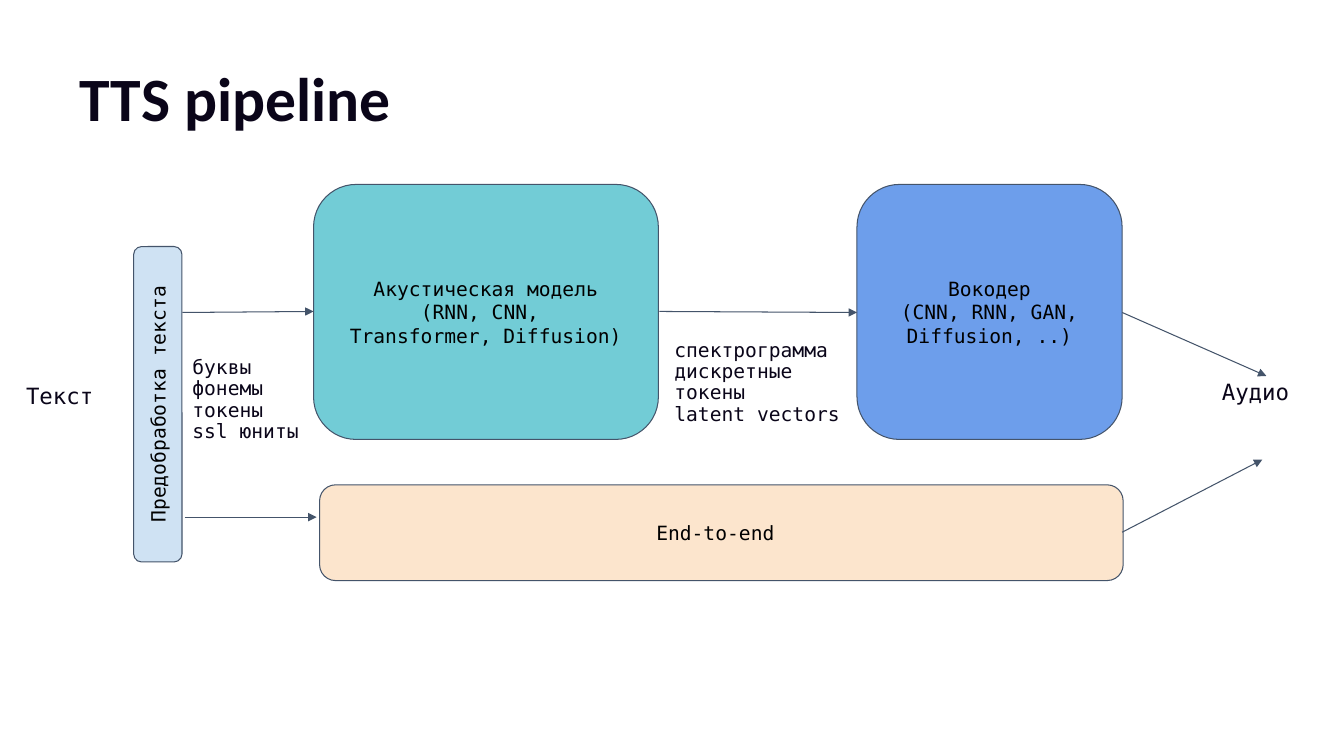
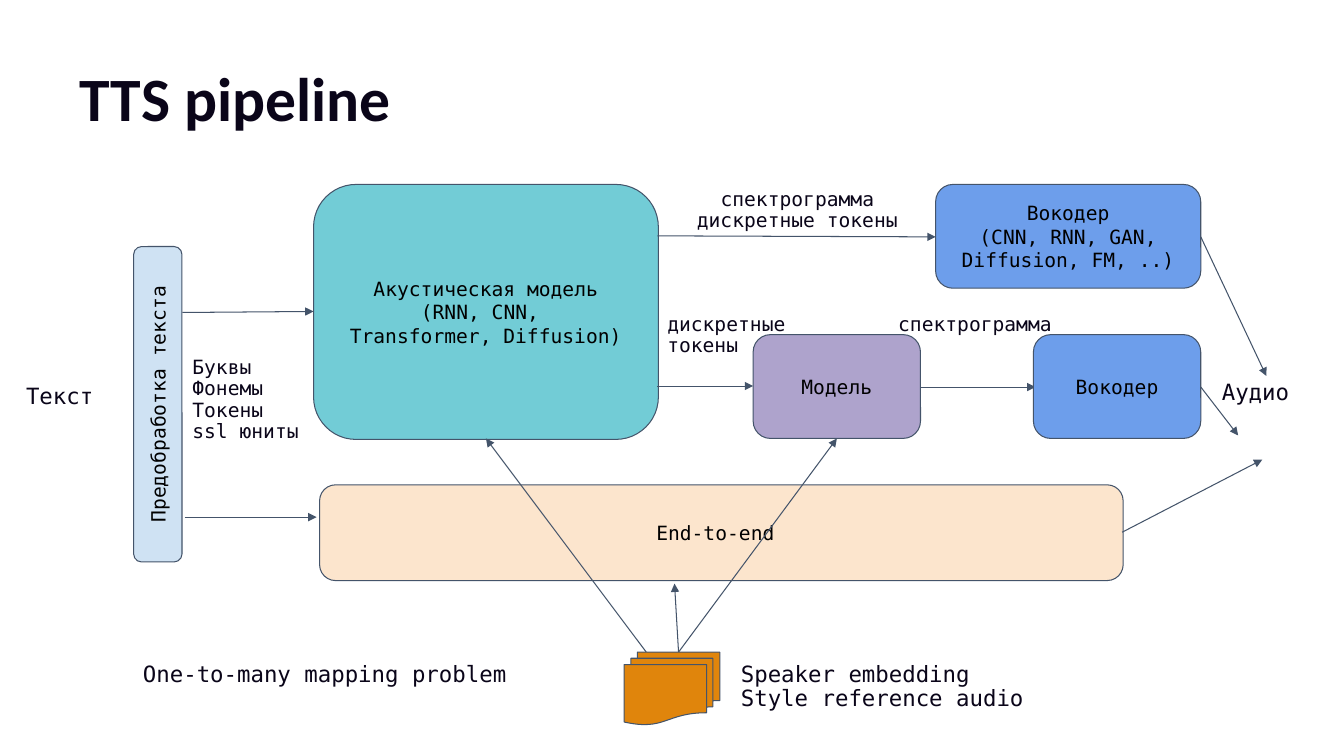
from lxml import etree
from pptx import Presentation
from pptx.dml.color import RGBColor as RGB
from pptx.enum.shapes import MSO_CONNECTOR as CONN, MSO_SHAPE as FORM
from pptx.enum.text import MSO_ANCHOR as ANCHOR, PP_ALIGN as ALIGN
from pptx.oxml.ns import qn
from pptx.util import Inches, Pt

HUES = {
    "ink": "0A0519", "black": "000000", "line": "44546A",
    "prep": "CFE2F3", "teal": "72CCD6", "blue": "6D9EEB",
    "sand": "FCE5CD", "lilac": "AEA3CC", "docs": "E0850C",
}
MONO = "DejaVu Sans Mono"


def label(slide, at, lines, size=14, align=ALIGN.LEFT):
    """Add plain text, one paragraph a line."""
    frame = slide.shapes.add_textbox(*map(Inches, at)).text_frame
    frame.word_wrap = True
    frame.text = lines
    for par in frame.paragraphs:
        par.alignment = align
        par.line_spacing = 0.9
        par.font.name = MONO
        par.font.size = Pt(size)
        par.font.color.rgb = RGB.from_string(HUES["ink"])


def block(slide, at, hue, lines="", form=FORM.ROUNDED_RECTANGLE, turn=0):
    """Add a filled, outlined shape with centred text."""
    shape = slide.shapes.add_shape(form, *map(Inches, at))
    shape.shadow.inherit = False
    shape.rotation = turn
    shape.fill.solid()
    shape.fill.fore_color.rgb = RGB.from_string(HUES[hue])
    shape.line.color.rgb = RGB.from_string(HUES["line"])
    shape.line.width = Pt(0.75)
    if not lines:
        return
    frame = shape.text_frame
    frame.word_wrap = True
    frame.vertical_anchor = ANCHOR.MIDDLE
    frame.margin_left = frame.margin_right = Inches(0.1)
    frame.margin_top = frame.margin_bottom = Inches(0.1)
    frame.text = lines
    for par in frame.paragraphs:
        par.alignment = ALIGN.CENTER
        par.font.name = MONO
        par.font.size = Pt(14)
        par.font.color.rgb = RGB.from_string(HUES["black"])


deck = Presentation()
deck.slide_width, deck.slide_height = Inches(13.33), Inches(7.5)

# Arrows of each slide: start x, start y, end x, end y
shared = [
    (1.81, 3.1, 3.11, 3.09),
    (1.83, 5.13, 3.14, 5.13),
    (11.13, 5.28, 12.52, 4.56),
]
simple = [
    (6.54, 3.09, 8.5, 3.1),
    (11.13, 3.1, 12.56, 3.73),
]
full = [
    (6.52, 2.34, 9.28, 2.35),
    (11.91, 2.35, 12.56, 3.73),
    (6.52, 3.83, 7.47, 3.83),
    (9.13, 3.84, 10.27, 3.84),
    (11.91, 3.84, 12.28, 4.32),
    (6.41, 6.47, 4.82, 4.35),
    (6.73, 6.47, 8.3, 4.35),
    (6.73, 6.47, 6.69, 5.79),
]

# Parts both slides share
slides = []
for units, extra in (
    ("буквы\nфонемы\nтокены\nssl юниты", simple),
    ("Буквы\nФонемы\nТокены\nssl юниты", full),
):
    slide = deck.slides.add_slide(deck.slide_layouts[5])
    slides.append(slide)

    # Title
    title = slide.shapes.title
    title.left, title.top = Inches(0.69), Inches(0.28)
    title.width, title.height = Inches(11.22), Inches(1.45)
    title.text_frame.text = "TTS pipeline"
    title.text_frame.vertical_anchor = ANCHOR.MIDDLE
    par = title.text_frame.paragraphs[0]
    par.alignment = ALIGN.LEFT
    par.line_spacing = 0.9
    par.font.name = "Calibri"
    par.font.size = Pt(44)
    par.font.bold = True
    par.font.color.rgb = RGB.from_string(HUES["ink"])

    # Input, stages and output
    label(slide, (0.16, 3.77, 0.98, 0.48), "Текст", 16)
    label(slide, (1.81, 3.5, 1.36, 1.03), units)
    label(slide, (12.02, 3.73, 1.08, 0.33), "Аудио", 16)
    block(slide, (0, 3.77, 3.13, 0.48), "prep", "Предобработка текста", turn=270)
    block(slide, (3.11, 1.83, 3.42, 2.53), "teal",
          "Акустическая модель\n(RNN, CNN, \nTransformer, Diffusion)")
    block(slide, (3.17, 4.81, 7.97, 0.95), "sand", "End-to-end ")

    # Arrows
    for ends in shared + extra:
        arrow = slide.shapes.add_connector(CONN.STRAIGHT, *map(Inches, ends))
        arrow.line.color.rgb = RGB.from_string(HUES["line"])
        arrow.line.width = Pt(0.75)
        etree.SubElement(arrow.line._get_or_add_ln(), qn("a:tailEnd"), type="triangle")
        etree.SubElement(arrow._element.spPr, qn("a:effectLst"))

# Slide 1: one vocoder
first, second = slides
block(first, (8.5, 1.83, 2.63, 2.53), "blue", "Вокодер\n(CNN, RNN, GAN, Diffusion, ..)")
label(first, (6.59, 3.33, 1.87, 1.03), "спектрограмма\nдискретные токены\nlatent vectors")

# Slide 2: two vocoder paths
block(second, (9.28, 1.83, 2.63, 1.03), "blue", "Вокодер\n(CNN, RNN, GAN, Diffusion, FM, ..)")
block(second, (7.47, 3.32, 1.66, 1.03), "lilac", "Модель")
block(second, (10.25, 3.32, 1.66, 1.03), "blue", "Вокодер")
label(second, (6.78, 1.83, 2.26, 1.03), "спектрограмма\nдискретные токены", align=ALIGN.CENTER)
label(second, (6.52, 3.07, 1.43, 1.03), "дискретные токены")
label(second, (8.81, 3.07, 1.87, 1.03), "спектрограмма")

# Slide 2: conditioning
block(second, (6.19, 6.47, 0.95, 0.72), "docs", form=FORM.FLOWCHART_MULTIDOCUMENT)
label(second, (7.25, 6.53, 3.42, 0.6), "Speaker embedding\nStyle reference audio", 16)
label(second, (1.32, 6.53, 4.03, 0.66), "One-to-many mapping problem", 16)

deck.save("out.pptx")
